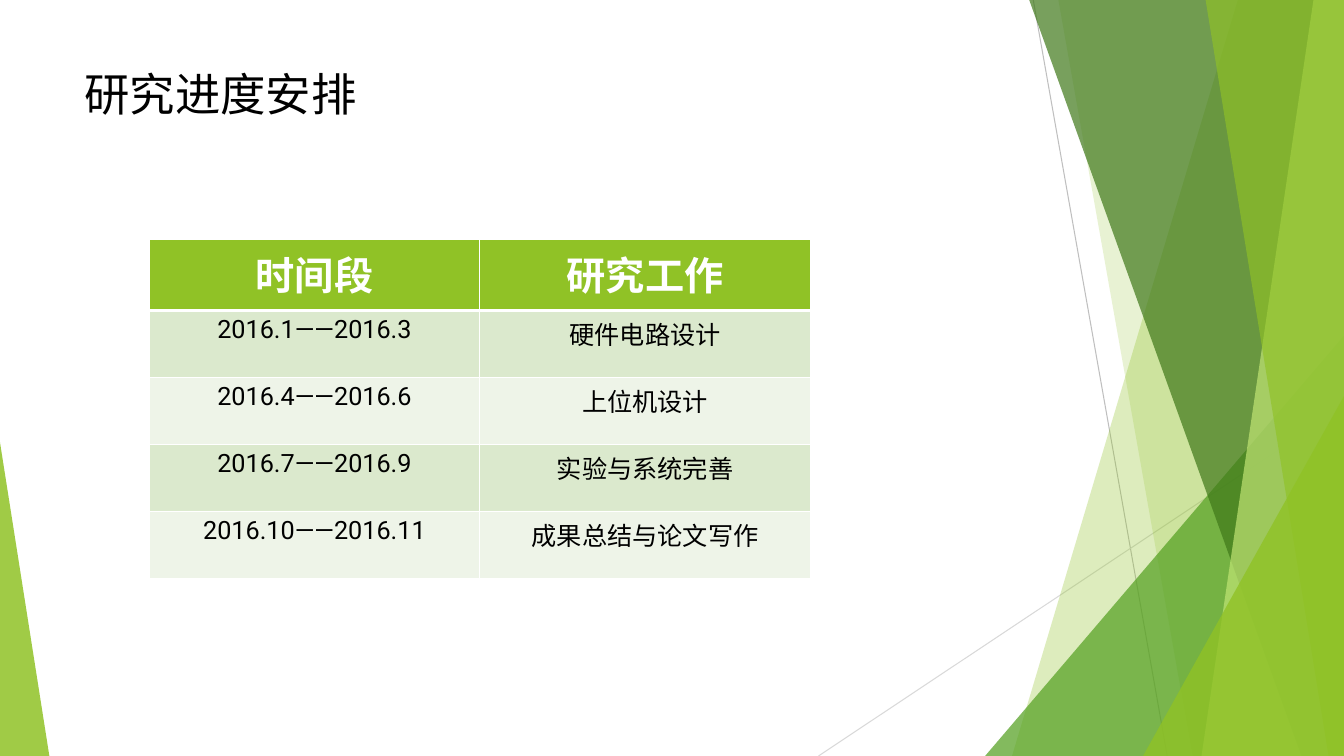
from lxml import etree
from pptx import Presentation
from pptx import util as u
from pptx.dml.color import RGBColor
from pptx.enum import shapes, text
from pptx.oxml.ns import qn

W, H = u.Inches(13.33), u.Inches(7.5)
FONT, CJK = "Roboto", "Noto Sans CJK SC"
COLORS = {
    "lime": "90C226", "green": "54A021", "forest": "3F7819", "pale": "C0E474",
    "gray": "BFBFBF", "silver": "D9D9D9", "white": "FFFFFF", "black": "000000",
    "band_dark": "DBE9CD", "band_light": "EEF4E8",
}
HEADER = {"size": u.Pt(28), "bold": True, "name": FONT}
BODY = {"size": u.Pt(18), "bold": False, "name": FONT}
TITLE = {"size": u.Pt(32.4), "bold": False, "name": CJK}
SCHEDULE = [
    ("时间段", "研究工作"),
    ("2016.1——2016.3", "硬件电路设计"),
    ("2016.4——2016.6", "上位机设计"),
    ("2016.7——2016.9", "实验与系统完善"),
    ("2016.10——2016.11", "成果总结与论文写作"),
]


def x(percent):
    return round(W * percent / 100)


def y(percent):
    return round(H * percent / 100)


def rgb(color):
    return RGBColor.from_string(COLORS[color])


def paint(sp, color, opacity):
    sp.shadow.inherit = False
    sp.line.fill.background()
    sp.fill.solid()
    sp.fill.fore_color.rgb = rgb(color)
    clr = sp.fill._xPr.find(".//" + qn("a:srgbClr"))
    etree.SubElement(clr, qn("a:alpha"), val=str(opacity * 1000))


def add_line(s, x1, y1, x2, y2, color):
    ln = s.shapes.add_connector(shapes.MSO_CONNECTOR.STRAIGHT, x(x1), y(y1), x(x2), y(y2))
    ln.line.color.rgb = rgb(color)
    ln.line.width = u.Pt(0.75)
    etree.SubElement(ln._element.spPr, qn("a:effectLst"))


def add_panel(s, top_x, bottom_x, color, opacity):
    fb = s.shapes.build_freeform(x(top_x), 0)
    fb.add_line_segments([(W, 0), (W, H), (x(bottom_x), H)], close=True)
    paint(fb.convert_to_shape(), color, opacity)


def add_corner(s, left, top, width, apex, color, opacity):
    sp = s.shapes.add_shape(shapes.MSO_SHAPE.ISOSCELES_TRIANGLE,
                            x(left), y(top), x(width), H - y(top))
    sp.adjustments[0] = apex
    paint(sp, color, opacity)


def write(p, value, fmt, color):
    r = p.add_run()
    r.text = value
    for key, setting in fmt.items():
        setattr(r.font, key, setting)
    r.font.color.rgb = rgb(color)
    etree.SubElement(r._r.get_or_add_rPr(), qn("a:ea"), typeface=CJK)


def add_title(s, value):
    tf = s.shapes.add_textbox(x(5.55), y(8.93), x(70.5), y(15.47)).text_frame
    tf.word_wrap = True
    tf.vertical_anchor = text.MSO_ANCHOR.TOP
    p = tf.paragraphs[0]
    p.line_spacing = 0.9
    write(p, value, TITLE, "black")


def add_borders(cell, bottom):
    tc_pr = cell._tc.get_or_add_tcPr()
    widths = {"lnL": 1, "lnR": 1, "lnT": 1, "lnB": bottom}
    for i, (side, width) in enumerate(widths.items()):
        ln = etree.Element(qn("a:" + side), w=str(u.Pt(width)))
        fill = etree.SubElement(ln, qn("a:solidFill"))
        etree.SubElement(fill, qn("a:srgbClr"), val=COLORS["white"])
        tc_pr.insert(i, ln)


def add_schedule(s, rows):
    head, body = y(9.33), y(8.87)
    tbl = s.shapes.add_table(len(rows), 2, x(11.1), y(31.73), x(49.2),
                             head + body * (len(rows) - 1)).table
    for i, row in enumerate(rows):
        is_head = i == 0
        tbl.rows[i].height = head if is_head else body
        band = "lime" if is_head else ("band_light", "band_dark")[i % 2]
        for j, value in enumerate(row):
            cell = tbl.cell(i, j)
            cell.fill.solid()
            cell.fill.fore_color.rgb = rgb(band)
            add_borders(cell, 3 if is_head else 1)
            p = cell.text_frame.paragraphs[0]
            p.alignment = text.PP_ALIGN.CENTER
            write(p, value, HEADER if is_head else BODY, "white" if is_head else "black")


def main():
    prs = Presentation()
    prs.slide_width, prs.slide_height = W, H
    s = prs.slides.add_slide(prs.slide_layouts[6])
    add_line(s, 76.88, 0, 86.85, 100, "gray")
    add_line(s, 100, 53.73, 60.9, 100, "silver")
    add_panel(s, 92.1, 75.3, "lime", 30)
    add_panel(s, 78.75, 88.73, "lime", 20)
    add_corner(s, 73.3, 44.4, 26.7, 1, "green", 72)
    add_panel(s, 76.58, 96.83, "forest", 70)
    add_panel(s, 97.73, 89.4, "pale", 70)
    add_panel(s, 89.7, 98.85, "lime", 65)
    add_corner(s, 85.05, 52.4, 14.95, 1, "lime", 80)
    add_corner(s, 0, 58.53, 3.67, 0, "lime", 85)
    add_title(s, "研究进度安排")
    add_schedule(s, SCHEDULE)
    prs.save("out.pptx")


if __name__ == "__main__":
    main()
